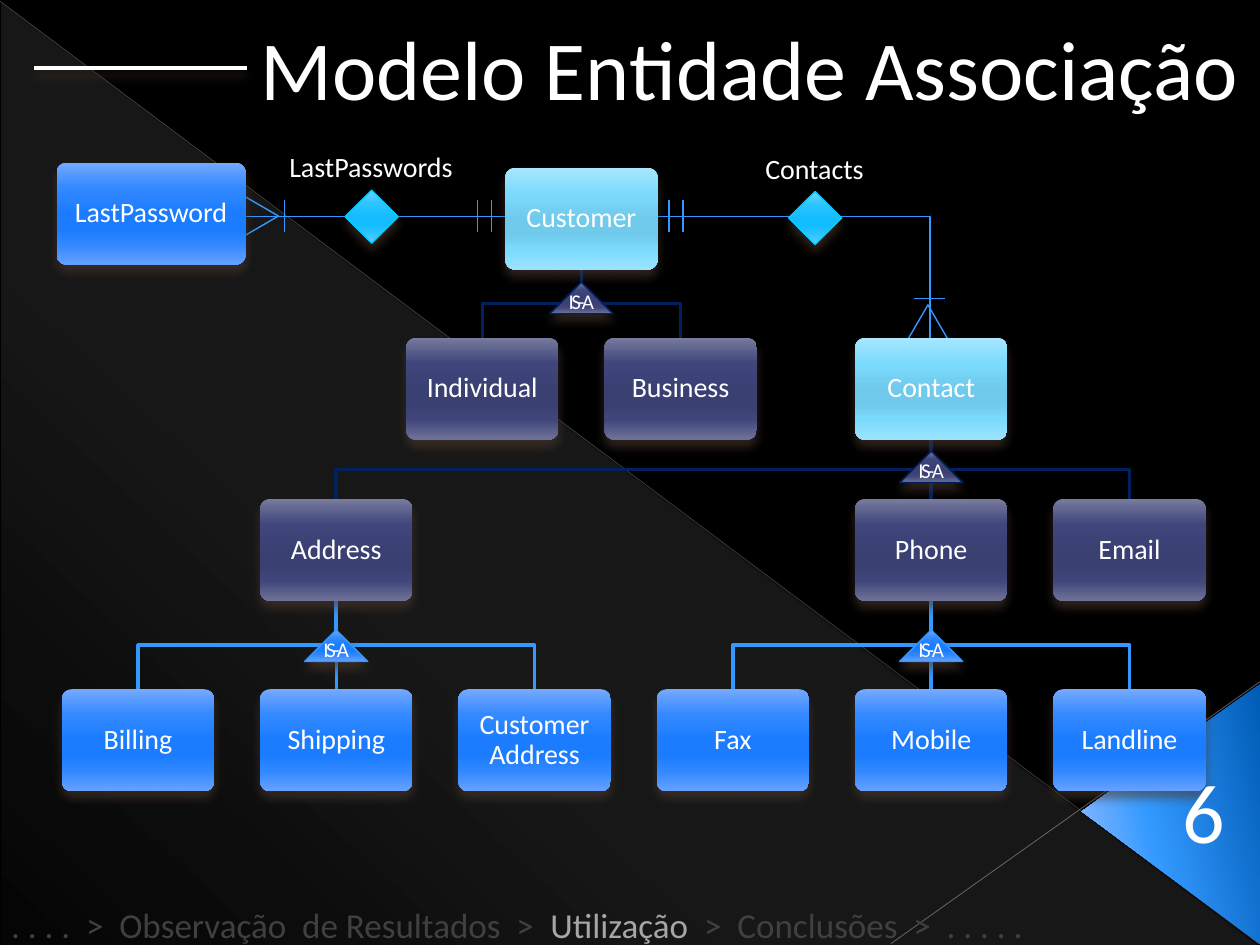
from lxml.etree import SubElement
from pptx import Presentation
from pptx.dml.color import RGBColor as Rgb
from pptx.enum.shapes import MSO_CONNECTOR as Link, MSO_SHAPE as Form
from pptx.enum.text import MSO_ANCHOR as Anchor, MSO_AUTO_SIZE as Auto, PP_ALIGN as Align
from pptx.oxml.ns import qn
from pptx.util import Inches, Pt

THEME = {
    "font": "Calibri", "back": "000000", "white": "FFFFFF", "dim": "404040", "lit": "A6A6A6",
    "blue": "3399FF", "navy": "002060", "cyan": "00CCFF", "shade": "4E3B30",
    "edge": "B4B4B4", "rim": "BDBDBD",
    "title": 48, "trail": 20, "body": 16, "mark": 12, "thin": 0.79, "bold": 2,
}
STOPS = (0, 25, 50, 65, 80, 100)
TONES = {
    "sky": "A8E7FF 7BDBFE 70CAEC 70CAEC 7ADAFD 9BE3FF",
    "dusk": "777B9D 40467C 3A4072 3A4072 40457B 6F7297",
    "azure": "75A9FF 3389FF 1B7CFF 1B7CFF 3188FF 67A1FF",
    "aqua": "71D2FF 2CC4FF 14BDFF 14BDFF 2AC3FF 63CEFF",
}
GRADS = {name: [(at, hue, 100) for at, hue in zip(STOPS, hues.split())]
         for name, hues in TONES.items()}
GRADS["veil"] = [(0, "FFFFFF", 10), (70, "FFFFFF", 8), (100, "FFFFFF", 1)]
GRADS["fan"] = [(0, "005BB5", 100), (60, "3399FF", 100), (100, "9BBFFF", 100)]


def dress(shape, grad=None, angle=90, line=None, width=THEME["thin"], alpha=100, shadow=False):
    props = shape._element.spPr
    if grad:
        fill = SubElement(props, qn("a:gradFill"), rotWithShape="1")
        stops = SubElement(fill, qn("a:gsLst"))
        for at, hue, part in GRADS[grad]:
            stop = SubElement(stops, qn("a:gs"), pos=str(at * 1000))
            tint = SubElement(stop, qn("a:srgbClr"), val=hue)
            SubElement(tint, qn("a:alpha"), val=str(part * 1000))
        SubElement(fill, qn("a:lin"), ang=str(angle * 60000), scaled="0")
    elif hasattr(shape, "fill"):
        shape.fill.background()
    if line:
        shape.line.color.rgb = Rgb.from_string(line)
        shape.line.width = Pt(width)
        tint = props.find(".//" + qn("a:ln")).find(".//" + qn("a:srgbClr"))
        SubElement(tint, qn("a:alpha"), val=str(alpha * 1000))
    else:
        shape.line.fill.background()
    glow = SubElement(props, qn("a:effectLst"))
    if shadow:
        cast = SubElement(glow, qn("a:outerShdw"), blurRad=str(Pt(6)), dist=str(Pt(4)),
                          dir="5400000", rotWithShape="0")
        tint = SubElement(cast, qn("a:srgbClr"), val=THEME["shade"])
        SubElement(tint, qn("a:alpha"), val="60000")


def write(shape, text, size=THEME["body"], hue=THEME["white"], align=Align.LEFT,
          anchor=Anchor.TOP, wrap=True, inset=None, lead=None, track=None, grow=False):
    frame = shape.text_frame
    frame.word_wrap, frame.vertical_anchor = wrap, anchor
    frame.auto_size = Auto.SHAPE_TO_FIT_TEXT if grow else Auto.NONE
    if inset is not None:
        frame.margin_left = frame.margin_right = Inches(inset)
        frame.margin_top = frame.margin_bottom = Inches(inset)
    para = frame.paragraphs[0]
    para.alignment, para.line_spacing = align, lead
    for part, tint in [(text, hue)] if isinstance(text, str) else text:
        run = para.add_run()
        run.text = part
        run.font.name, run.font.size = THEME["font"], Pt(size)
        run.font.color.rgb = Rgb.from_string(tint)
        if track:
            run._r.get_or_add_rPr().set("spc", str(int(track * 100)))


deck = Presentation()
deck.slide_width, deck.slide_height = Inches(10), Inches(7.5)
slide = deck.slides.add_slide(deck.slide_layouts[6])
slide.background.fill.solid()
slide.background.fill.fore_color.rgb = Rgb.from_string(THEME["back"])
shapes = slide.shapes

veil = shapes.add_shape(Form.RIGHT_TRIANGLE, *map(Inches, (0.01, 0.02, 9.98, 7.48)))
dress(veil, "veil", 133)
for ends, hue, width, alpha in (
    ((0, 0.01, 9.99, 7.49), THEME["edge"], 0.39, 35),
    ((10, 5.41, 7.07, 7.49), THEME["rim"], 0.47, 45),
):
    dress(shapes.add_connector(Link.STRAIGHT, *map(Inches, ends)),
          line=hue, width=width, alpha=alpha)
fan = shapes.add_shape(Form.ISOSCELES_TRIANGLE, *map(Inches, (8.26, 5.75, 2.07, 1.42)))
fan.rotation, fan.adjustments[0] = 270, 0.51
dress(fan, "fan", 258)

elbow = shapes.add_connector(Link.ELBOW, *map(Inches, (4.85, 1.72, 7.38, 2.83)))
bend = elbow._element.spPr.find(".//" + qn("a:avLst"))
SubElement(bend, qn("a:gd"), name="adj1", fmla="val 100000")
dress(elbow, line=THEME["blue"])
bars = [(x, 1.59, x, 1.84) for x in (2.26, 3.79, 3.9, 5.31, 5.42)]
for ends in [(1.45, 1.72, 4.46, 1.72), (7.25, 2.37, 7.5, 2.37)] + bars:
    dress(shapes.add_connector(Link.STRAIGHT, *map(Inches, ends)), line=THEME["blue"])
for x, y, turn in ((1.81, 1.53, 90), (7.15, 2.42, 0)):
    foot = shapes.add_shape(Form.ISOSCELES_TRIANGLE, *map(Inches, (x, y, 0.43, 0.37)))
    foot.rotation = turn
    dress(foot, line=THEME["blue"])

title = shapes.add_textbox(*map(Inches, (1.97, 0.08, 8.05, 0.91)))
write(title, "Modelo Entidade Associação", size=THEME["title"], wrap=False, grow=True)
rule = shapes.add_connector(Link.STRAIGHT, *map(Inches, (1.96, 0.54, 0.27, 0.54)))
dress(rule, line=THEME["white"], width=THEME["bold"], shadow=True)

WIDE, HIGH, PITCH = 1.21, 0.81, 1.574
cols = [0.49 + PITCH * n for n in range(6)]
boxes = {
    "LastPassword": (0.45, 1.29, 1.5, "azure"),
    "Customer": (4.01, 1.33, WIDE, "sky"),
    "Individual": (4.01 - PITCH / 2, 2.68, WIDE, "dusk"),
    "Business": (4.01 + PITCH / 2, 2.68, WIDE, "dusk"),
    "Contact": (cols[4], 2.68, WIDE, "sky"),
}
for name, col in (("Address", 1), ("Phone", 4), ("Email", 5)):
    boxes[name] = (cols[col], 3.96, WIDE, "dusk")
leaves = ("Billing", "Shipping", "Customer Address", "Fax", "Mobile", "Landline")
for name, x in zip(leaves, cols):
    boxes[name] = (x, 5.47, WIDE, "azure")

trees = (
    ("Customer", ("Individual", "Business"), "dusk", THEME["navy"], 2.24),
    ("Contact", ("Address", "Phone", "Email"), "dusk", THEME["navy"], 3.58),
    ("Address", leaves[:3], "azure", THEME["blue"], 5),
    ("Phone", leaves[3:], "azure", THEME["blue"], 5),
)
for root, kids, tone, hue, y in trees:
    mid, base = boxes[root][0] + WIDE / 2, boxes[root][1] + HIGH
    for kid in kids:
        end, top = boxes[kid][0] + WIDE / 2, boxes[kid][1]
        if end == mid:
            limb = shapes.add_connector(Link.STRAIGHT, *map(Inches, (mid, base, mid, top)))
        else:
            half = (base + top) / 2
            pen = shapes.build_freeform(Inches(mid), Inches(base))
            turns = ((mid, half), (end, half), (end, top))
            pen.add_line_segments([tuple(map(Inches, dot)) for dot in turns], close=False)
            limb = pen.convert_to_shape()
        dress(limb, line=hue, width=THEME["bold"])

for name, (x, y, wide, tone) in boxes.items():
    box = shapes.add_shape(Form.ROUNDED_RECTANGLE, *map(Inches, (x, y, wide, HIGH)))
    box.adjustments[0] = 0.1
    dress(box, tone, shadow=True)
    write(box, name, align=Align.CENTER, anchor=Anchor.MIDDLE, inset=0.07, lead=0.9)

for root, kids, tone, hue, y in trees:
    x = boxes[root][0] + WIDE / 2 - 0.25
    mark = shapes.add_shape(Form.ISOSCELES_TRIANGLE, *map(Inches, (x, y, 0.5, 0.25)))
    dress(mark, tone, line=hue, shadow=True)
    write(mark, "IS-A", size=THEME["mark"], align=Align.CENTER, anchor=Anchor.BOTTOM,
          wrap=False, inset=0, track=-1.5)

for name, x, y in (("LastPasswords", 2.74, 1.51), ("Contacts", 6.26, 1.52)):
    gem = shapes.add_shape(Form.FLOWCHART_DECISION, *map(Inches, (x, y, 0.42, 0.42)))
    dress(gem, "aqua", line=THEME["cyan"], shadow=True)
    label = shapes.add_textbox(*map(Inches, (x - 0.63, y - 0.37, 1.67, 0.37)))
    write(label, name, align=Align.CENTER, grow=True)

trail = shapes.add_textbox(*map(Inches, (-0.01, 7.12, 9.92, 0.44)))
write(trail, [(". . . .  >  Observação  de Resultados  >  ", THEME["dim"]),
              ("Utilização", THEME["lit"]),
              ("  >  Conclusões  >  . . . . .", THEME["dim"])],
      size=THEME["trail"], align=Align.JUSTIFY, grow=True)
page = shapes.add_textbox(*map(Inches, (9.29, 5.98, 0.54, 0.91)))
write(page, "6", size=THEME["title"], wrap=False, grow=True)

deck.save("out.pptx")
